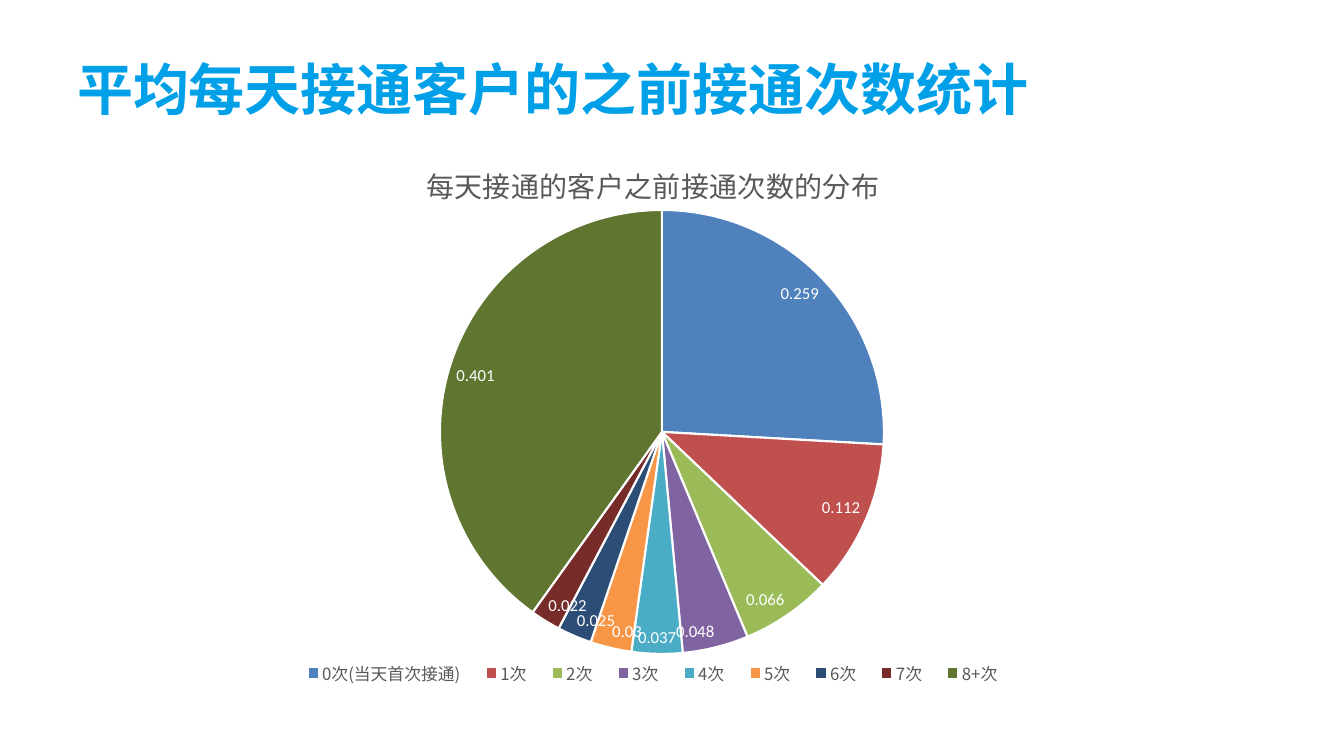
import pptx
import pptx.chart.data
import pptx.dml.color
import pptx.enum.chart
import pptx.enum.text
import pptx.oxml
import pptx.oxml.ns
import pptx.util
from lxml import etree

RGBColor = pptx.dml.color.RGBColor
PX = 12192000 / 1344

HEADING_BLUE = RGBColor(0x00, 0xA0, 0xE9)
GREY = RGBColor(0x59, 0x59, 0x59)
WHITE = RGBColor(0xFF, 0xFF, 0xFF)
CALL_COUNTS = [
    ("0次(当天首次接通)", 0.259, RGBColor(0x4F, 0x81, 0xBD)),
    ("1次", 0.112, RGBColor(0xC0, 0x50, 0x4D)),
    ("2次", 0.066, RGBColor(0x9B, 0xBB, 0x59)),
    ("3次", 0.048, RGBColor(0x80, 0x64, 0xA2)),
    ("4次", 0.037, RGBColor(0x4B, 0xAC, 0xC6)),
    ("5次", 0.03, RGBColor(0xF7, 0x96, 0x46)),
    ("6次", 0.025, RGBColor(0x2C, 0x4D, 0x75)),
    ("7次", 0.022, RGBColor(0x77, 0x2C, 0x2A)),
    ("8+次", 0.401, RGBColor(0x5F, 0x75, 0x30)),
]
DISTRIBUTION = "每天接通的客户之前接通次数的分布"
PIE_WIDTH, PIE_HEIGHT = 738, 553


def px(*lengths):
    return [pptx.util.Emu(round(length * PX)) for length in lengths]


def style(font, name, size, color, bold=False):
    font.name = name
    font.size = pptx.util.Pt(size)
    font.bold = bold
    font.color.rgb = color
    east_asian = etree.Element(pptx.oxml.ns.qn("a:ea"), typeface=name)
    font._rPr.find(pptx.oxml.ns.qn("a:latin")).addnext(east_asian)


deck = pptx.Presentation()
deck.slide_width, deck.slide_height = px(1344, 756)
slide = deck.slides.add_slide(deck.slide_layouts[5])

heading = slide.shapes.title
heading.left, heading.top, heading.width, heading.height = px(67, 37, 1210, 103)
heading.text_frame.text = "平均每天接通客户的之前接通次数统计"
heading.text_frame.vertical_anchor = pptx.enum.text.MSO_ANCHOR.MIDDLE
heading_line = heading.text_frame.paragraphs[0]
heading_line.alignment = pptx.enum.text.PP_ALIGN.LEFT
style(heading_line.font, "Noto Sans CJK SC", 40, HEADING_BLUE, True)

labels, shares, colors = zip(*CALL_COUNTS)
distribution = pptx.chart.data.CategoryChartData()
distribution.categories = labels
distribution.add_series(DISTRIBUTION, shares)
pie = slide.shapes.add_chart(
    pptx.enum.chart.XL_CHART_TYPE.PIE, *px(284, 140, PIE_WIDTH, PIE_HEIGHT), distribution
).chart
pie.font.name = "Calibri"
pie.font.size = pptx.util.Pt(10)

pie.has_title = True
pie.chart_title.text_frame.text = DISTRIBUTION
style(pie.chart_title.text_frame.paragraphs[0].font, "Noto Sans CJK JP", 20, GREY)

pie.has_legend = True
pie.legend.position = pptx.enum.chart.XL_LEGEND_POSITION.BOTTOM
pie.legend.include_in_layout = False
style(pie.legend.font, "Noto Sans CJK JP", 12, GREY)

plot = pie.plots[0]
plot.vary_by_categories = True
for index, color in enumerate(colors):
    slice_format = plot.series[0].points[index].format
    slice_format.fill.solid()
    slice_format.fill.fore_color.rgb = color
    slice_format.line.color.rgb = WHITE
    slice_format.line.width = pptx.util.Pt(1.5)

share_labels = plot.series[0].data_labels
share_labels.show_value = True
share_labels.show_percentage = False
share_labels.position = pptx.enum.chart.XL_LABEL_POSITION.INSIDE_END
style(share_labels.font, "Calibri", 12, WHITE)

chart_part = pie.element.chart
for area, position, target, (left, top, width, height) in [
    (chart_part.plotArea, 0, '<c:layoutTarget val="inner"/>', (156, 70, 444, 444)),
    (chart_part.find(pptx.oxml.ns.qn("c:legend")), 1, "", (4, 518, 730, 30)),
]:
    for automatic in area.findall(pptx.oxml.ns.qn("c:layout")):
        area.remove(automatic)
    area.insert(position, pptx.oxml.parse_xml(
        f'<c:layout {pptx.oxml.ns.nsdecls("c")}><c:manualLayout>{target}'
        '<c:xMode val="edge"/><c:yMode val="edge"/>'
        f'<c:x val="{left / PIE_WIDTH}"/><c:y val="{top / PIE_HEIGHT}"/>'
        f'<c:w val="{width / PIE_WIDTH}"/><c:h val="{height / PIE_HEIGHT}"/>'
        '</c:manualLayout></c:layout>'
    ))

deck.save("out.pptx")
